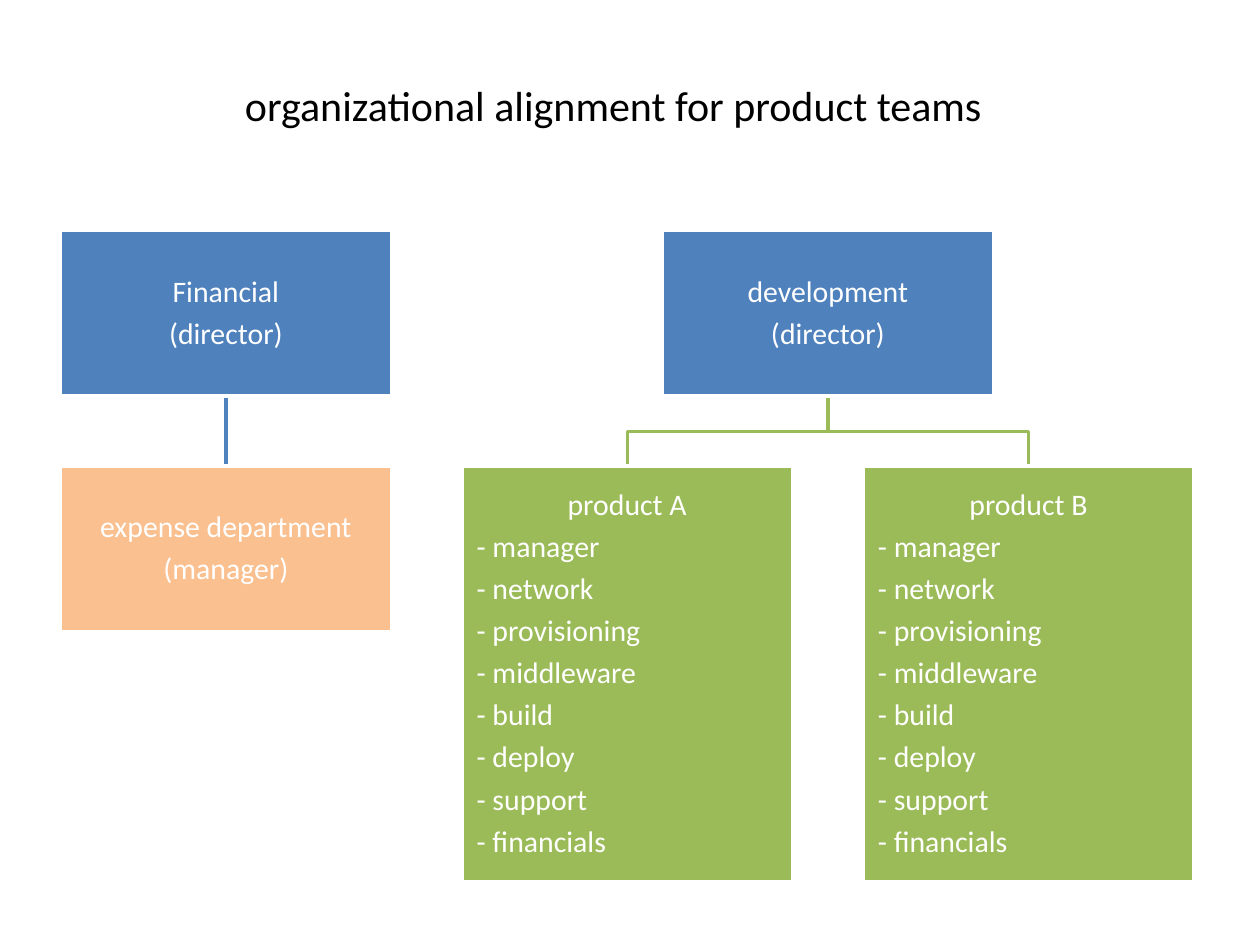
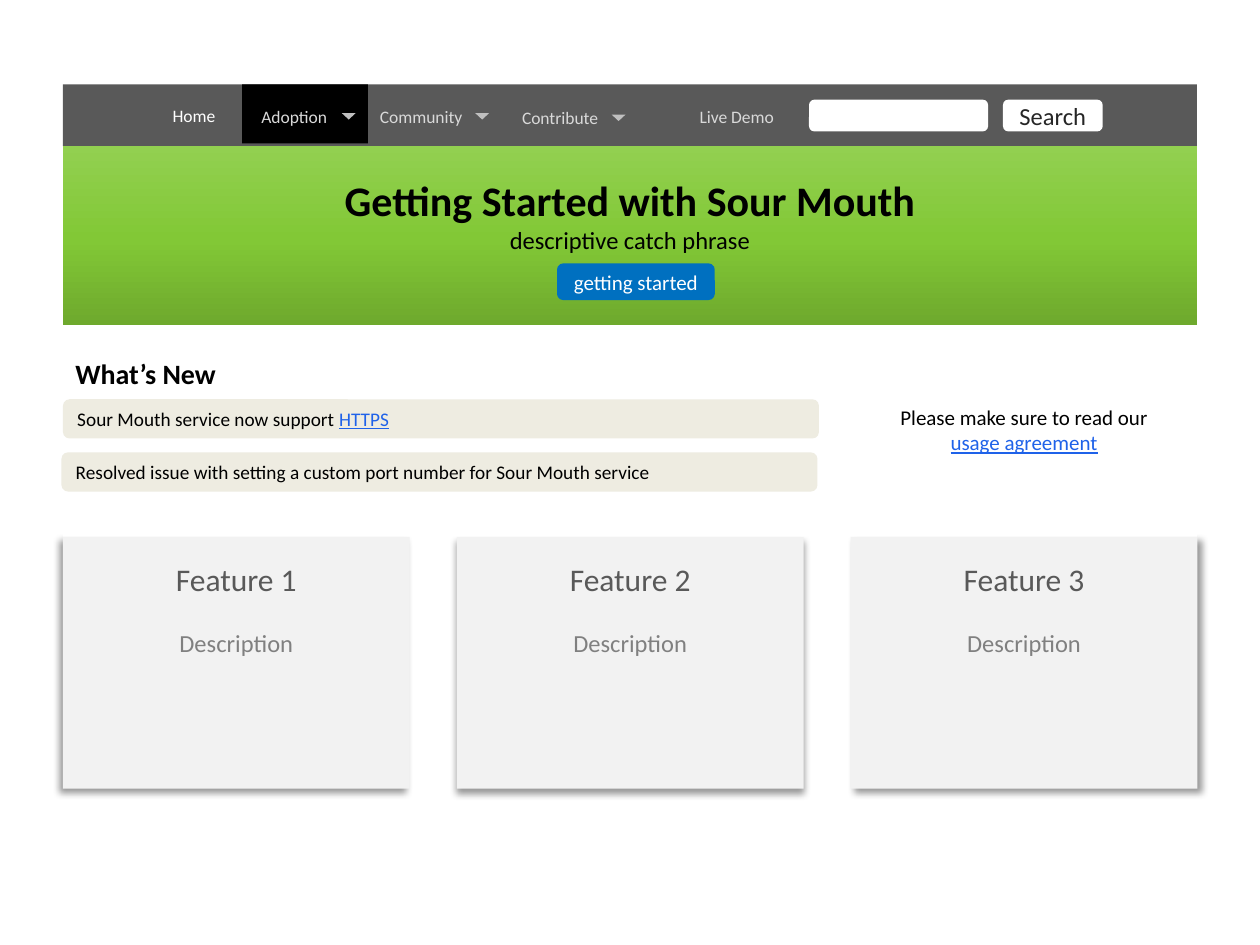
from copy import deepcopy
from dataclasses import dataclass

from lxml import etree
from pptx import Presentation
from pptx.dml.color import RGBColor
from pptx.enum.shapes import MSO_CONNECTOR, MSO_SHAPE
from pptx.enum.text import MSO_ANCHOR, MSO_AUTO_SIZE, PP_ALIGN
from pptx.oxml.ns import qn
from pptx.util import Cm, Pt

RECT, ROUND, TRIANGLE = MSO_SHAPE.RECTANGLE, MSO_SHAPE.ROUNDED_RECTANGLE, MSO_SHAPE.ISOSCELES_TRIANGLE
STRAIGHT = MSO_CONNECTOR.STRAIGHT
LEFT, CENTER = PP_ALIGN.LEFT, PP_ALIGN.CENTER
TOP, MIDDLE = MSO_ANCHOR.TOP, MSO_ANCHOR.MIDDLE
NO_AUTOFIT = MSO_AUTO_SIZE.NONE

FONT = "Calibri"
WHITE = RGBColor(0xFF, 0xFF, 0xFF)
BLACK = RGBColor(0x00, 0x00, 0x00)
BLUE = RGBColor(0x4F, 0x81, 0xBD)
ORANGE = RGBColor(0xFA, 0xC0, 0x90)
GREEN = RGBColor(0x9B, 0xBB, 0x59)
DARK_GRAY = RGBColor(0x59, 0x59, 0x59)
MID_GRAY = RGBColor(0x80, 0x80, 0x80)
ARROW_GRAY = RGBColor(0xBF, 0xBF, 0xBF)
NAV_GRAY = RGBColor(0xD9, 0xD9, 0xD9)
CARD_GRAY = RGBColor(0xF2, 0xF2, 0xF2)
SEARCH_INK = RGBColor(0x26, 0x26, 0x26)
BEIGE = RGBColor(0xEE, 0xEC, 0xE1)
BUTTON_BLUE = RGBColor(0x00, 0x70, 0xC0)
LINK_BLUE = RGBColor(0x1F, 0x62, 0xE9)
HERO_STOPS = ((0, RGBColor(0x6E, 0xA9, 0x2D)),
              (0.48, RGBColor(0x82, 0xC8, 0x36)),
              (1, RGBColor(0x92, 0xD0, 0x50)))


@dataclass(frozen=True)
class Area:
    """Left, top, width and height in centimetres."""
    left: float
    top: float
    width: float
    height: float

    def lengths(self) -> tuple:
        return Cm(self.left), Cm(self.top), Cm(self.width), Cm(self.height)

    @property
    def center(self) -> float:
        return self.left + self.width / 2

    @property
    def bottom(self) -> float:
        return self.top + self.height


@dataclass(frozen=True)
class Unit:
    """A box of the organization chart; column may lie between two others."""
    column: float
    row: int
    fill: RGBColor
    heading: tuple
    duties: tuple = ()

    @property
    def area(self) -> Area:
        return Area(1.22 + 8.09 * self.column, 4.65 + 4.75 * self.row,
                    6.67, 8.38 if self.duties else 3.34)


@dataclass(frozen=True)
class NavItem:
    label: str
    center: float
    middle: float = 2.34
    color: RGBColor = NAV_GRAY
    arrow: float = 0  # centre of the drop-down arrow, 0 for none


@dataclass(frozen=True)
class Card:
    heading: str
    shadow_angle: int


DUTIES = ("- manager", "- network", "- provisioning", "- middleware",
          "- build", "- deploy", "- support", "- financials")
FINANCIAL = Unit(0, 0, BLUE, ("Financial", "(director)"))
EXPENSE = Unit(0, 1, ORANGE, ("expense department", "(manager)"))
DEVELOPMENT = Unit(1.5, 0, BLUE, ("development", "(director)"))
PRODUCTS = (Unit(1, 1, GREEN, ("product A",), DUTIES),
            Unit(2, 1, GREEN, ("product B",), DUTIES))

NAV_ITEMS = (NavItem("Home", 3.91, 2.32, WHITE),
             NavItem("Adoption", 5.93, arrow=7.03),
             NavItem("Community", 8.49, arrow=9.72),
             NavItem("Contribute", 11.29, 2.37, arrow=12.47),
             NavItem("Live Demo", 14.85))
CARDS = (Card("Feature 1", 135), Card("Feature 2", 90), Card("Feature 3", 45))


# Shared helpers
def write(shape, text: str, *, size: float, color: RGBColor, bold: bool = False,
          underline: bool = False, align=CENTER, same_line: bool = False,
          before: float = 0, after: float = 0, spacing: float = 1,
          indent: float = 0) -> None:
    """Add a paragraph, or a run on the last one, to the text of a shape."""
    frame = shape.text_frame
    if frame.text and not same_line:
        paragraph = frame.add_paragraph()
    else:
        paragraph = frame.paragraphs[-1]
    if not same_line:
        paragraph.alignment = align
        paragraph.line_spacing = spacing
        paragraph.space_before, paragraph.space_after = Pt(before), Pt(after)
        if indent:
            properties = paragraph._p.get_or_add_pPr()
            properties.set("marL", str(Cm(indent)))
            properties.set("indent", "0")
    run = paragraph.add_run()
    run.text = text
    font = run.font
    font.name, font.size, font.bold = FONT, Pt(size), bold
    font.underline = underline
    font.color.rgb = color


def set_frame(shape, anchor=MIDDLE, side: float = 0.25, edge: float = 0.13) -> None:
    frame = shape.text_frame
    frame.word_wrap = True
    frame.auto_size = NO_AUTOFIT
    frame.vertical_anchor = anchor
    frame.margin_left = frame.margin_right = Cm(side)
    frame.margin_top = frame.margin_bottom = Cm(edge)


def draw_box(slide, area: Area, fill: RGBColor, kind=RECT, anchor=MIDDLE):
    box = slide.shapes.add_shape(kind, *area.lengths())
    box.shadow.inherit = False
    box.fill.solid()
    box.fill.fore_color.rgb = fill
    box.line.fill.background()
    set_frame(box, anchor)
    return box


def add_label(slide, area: Area, side: float = 0.25):
    label = slide.shapes.add_textbox(*area.lengths())
    set_frame(label, side=side)
    return label


def place_title(slide, area: Area, text: str, bold: bool = False):
    title = slide.shapes.title
    title.left, title.top, title.width, title.height = area.lengths()
    set_frame(title)
    write(title, text, size=24, color=BLACK, bold=bold)
    slide.shapes._spTree.append(title._element)  # bring to front
    return title


# Organization chart
def draw_branch(slide, parent: Unit, child: Unit) -> None:
    start, end = parent.area, child.area
    if start.center == end.center:
        branch = slide.shapes.add_connector(
            STRAIGHT, Cm(start.center), Cm(start.bottom), Cm(end.center), Cm(end.top))
        etree.SubElement(branch._element.spPr, qn("a:effectLst"))
        branch.line.color.rgb = BLUE
    else:
        bend = Cm((start.bottom + end.top) / 2)
        builder = slide.shapes.build_freeform(Cm(start.center), Cm(start.bottom))
        builder.add_line_segments(
            [(Cm(start.center), bend), (Cm(end.center), bend),
             (Cm(end.center), Cm(end.top))], close=False)
        branch = builder.convert_to_shape()
        branch.shadow.inherit = False
        branch.fill.background()
        branch.line.color.rgb = GREEN
    branch.line.width = Pt(2)


def draw_unit(slide, unit: Unit) -> None:
    box = draw_box(slide, unit.area, unit.fill)
    box.line.color.rgb = WHITE
    box.line.width = Pt(2)
    set_frame(box, side=0.03, edge=0.03)
    style = dict(size=17, color=WHITE, spacing=0.9, after=5.7)
    for line in unit.heading:
        write(box, line, **style)
    for duty in unit.duties:
        write(box, duty, align=LEFT, indent=0.27, **style)


def build_organization(slide) -> None:
    for product in PRODUCTS:
        draw_branch(slide, DEVELOPMENT, product)
    draw_branch(slide, FINANCIAL, EXPENSE)
    for unit in (FINANCIAL, EXPENSE, DEVELOPMENT, *PRODUCTS):
        draw_unit(slide, unit)
    place_title(slide, Area(0.96, 1.47, 22.81, 1.27),
                "organizational alignment for product teams")


# Web page mock-up
def draw_nav(slide) -> None:
    draw_box(slide, Area(1.27, 1.7, 22.86, 1.25), DARK_GRAY)
    draw_box(slide, Area(4.88, 1.7, 2.54, 1.19), BLACK)
    for item in NAV_ITEMS:
        label = add_label(slide, Area(item.center - 1.13, item.middle - 0.63, 2.26, 1.26), side=0)
        write(label, item.label, size=10, color=item.color)
        if item.arrow:
            arrow = draw_box(slide, Area(item.arrow - 0.14, item.middle - 0.06, 0.28, 0.13),
                             ARROW_GRAY, TRIANGLE)
            arrow.rotation = 180
    draw_box(slide, Area(16.31, 2.01, 3.61, 0.64), WHITE, ROUND)
    search = draw_box(slide, Area(20.22, 2.01, 2.01, 0.64), WHITE, ROUND)
    write(search, "Search", size=14, color=SEARCH_INK)


def draw_hero(slide) -> None:
    hero = draw_box(slide, Area(1.27, 2.95, 22.86, 3.61), HERO_STOPS[0][1])
    hero.fill.gradient()
    hero.fill.gradient_angle = 90
    stop_list = hero._element.spPr.find(qn("a:gradFill")).find(qn("a:gsLst"))
    stop_list.insert(1, deepcopy(stop_list[0]))
    for stop, (position, color) in zip(hero.fill.gradient_stops, HERO_STOPS):
        stop.position = position
        stop.color.rgb = color
    title = place_title(slide, Area(1.27, 3.38, 22.86, 1.88),
                        "Getting Started with Sour Mouth", bold=True)
    write(title, "descriptive catch phrase", size=14, color=BLACK)
    button = draw_box(slide, Area(11.23, 5.31, 3.18, 0.74), BUTTON_BLUE, ROUND)
    write(button, "getting started", size=12, color=WHITE)


def add_shadow(shape, angle: int) -> None:
    effects = shape._element.spPr.find(qn("a:effectLst"))
    shadow = etree.SubElement(effects, qn("a:outerShdw"), blurRad=str(Pt(4)),
                              dist=str(Pt(3)), dir=str(angle * 60000), rotWithShape="0")
    color = etree.SubElement(shadow, qn("a:srgbClr"), val=str(BLACK))
    etree.SubElement(color, qn("a:alpha"), val="40000")


def draw_cards(slide) -> None:
    for index, card in enumerate(CARDS):
        box = draw_box(slide, Area(1.27 + 7.94 * index, 10.82, 6.99, 5.08), CARD_GRAY, anchor=TOP)
        add_shadow(box, card.shadow_angle)
        box.text_frame.margin_top = Cm(0.47)
        write(box, card.heading, size=18, color=DARK_GRAY)
        write(box, "Description", size=14, color=MID_GRAY, before=17)


def draw_news(slide) -> None:
    panel = draw_box(slide, Area(1.27, 7.06, 22.86, 3.76), WHITE, anchor=TOP)
    write(panel, "What’s New", size=16, color=BLACK, bold=True, align=LEFT)
    support = draw_box(slide, Area(1.27, 8.05, 15.24, 0.79), BEIGE, ROUND)
    write(support, "Sour Mouth service now support ", size=11, color=BLACK, align=LEFT)
    write(support, "HTTPS", size=11, color=LINK_BLUE, underline=True, same_line=True)
    fix = draw_box(slide, Area(1.24, 9.12, 15.24, 0.79), BEIGE, ROUND)
    write(fix, "Resolved issue with setting a custom port number for Sour Mouth service",
          size=11, color=BLACK, align=LEFT)
    agreement = add_label(slide, Area(17.15, 8.03, 6.99, 1.27))
    write(agreement, "Please make sure to read our", size=12, color=BLACK)
    write(agreement, "usage agreement", size=12, color=LINK_BLUE, underline=True)


def build_web_page(slide) -> None:
    draw_nav(slide)
    draw_hero(slide)
    draw_cards(slide)
    draw_news(slide)


def main() -> None:
    deck = Presentation()
    deck.slide_width, deck.slide_height = Cm(25.4), Cm(19.05)
    title_only = deck.slide_layouts[5]
    for build in (build_organization, build_web_page):
        build(deck.slides.add_slide(title_only))
    deck.save("out.pptx")


if __name__ == "__main__":
    main()
